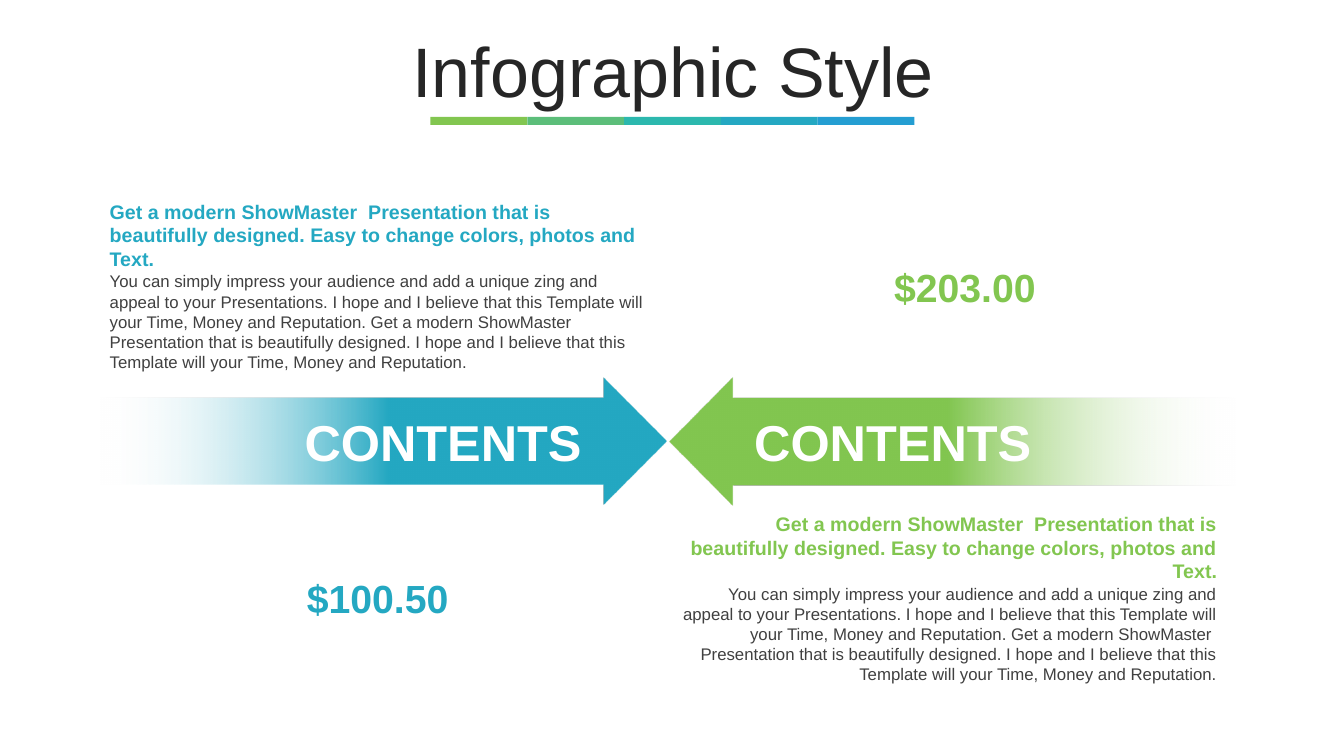
from pptx import Presentation
from pptx import util as u
from pptx.dml.color import RGBColor
from pptx.enum import shapes, text
from lxml import etree

FONT = "Arial"
COLORS = {
    "green": "82C650", "mint": "5CBE7A", "aqua": "2CB8AE", "teal": "24A8C2",
    "blue": "249ED2", "white": "FFFFFF", "title": "262626", "body": "404040",
}
LEFT, CENTER, RIGHT = text.PP_ALIGN.LEFT, text.PP_ALIGN.CENTER, text.PP_ALIGN.RIGHT
TOP, MIDDLE, BOTTOM = text.MSO_ANCHOR.TOP, text.MSO_ANCHOR.MIDDLE, text.MSO_ANCHOR.BOTTOM

HEADING = ("Get a modern ShowMaster  Presentation that is beautifully designed. "
           "Easy to change colors, photos and Text.")
BODY = ("You can simply impress your audience and add a unique zing and appeal to your "
        "Presentations. I hope and I believe that this Template will your Time, Money and "
        "Reputation. Get a modern ShowMaster  Presentation that is beautifully designed. "
        "I hope and I believe that this Template will your Time, Money and Reputation.")


def rgb(name):
    return RGBColor.from_string(COLORS[name])


def place(x, y, w, h):
    return [u.Inches(v) for v in (x, y, w, h)]


def write(sp, words, size, color, align=LEFT, anchor=TOP, bold=False):
    tf = sp.text_frame
    tf.word_wrap = True
    tf.auto_size = text.MSO_AUTO_SIZE.NONE
    tf.vertical_anchor = anchor
    tf.text = words
    p = tf.paragraphs[0]
    p.alignment = align
    f = p.runs[0].font
    f.name, f.size, f.bold = FONT, u.Pt(size), bold
    f.color.rgb = rgb(color)
    return tf


def add_text(s, box, *args, **kwargs):
    return write(s.shapes.add_textbox(*place(*box)), *args, **kwargs)


def add_plain_shape(s, kind, box):
    sp = s.shapes.add_shape(kind, *place(*box))
    sp.shadow.inherit = False
    sp.line.fill.background()
    return sp


# Title with the five-colour bar under it
def add_title(s, x, y, w, h):
    title = s.shapes.title
    title.left, title.top, title.width, title.height = place(x, y, w, h)
    tf = write(title, "Infographic Style", 50, "title", CENTER, MIDDLE)
    tf.paragraphs[0].line_spacing = 0.8
    names = ("green", "mint", "aqua", "teal", "blue")
    step = 0.96
    start = x + (w - step * len(names)) / 2 - 0.01
    for i, name in enumerate(names):
        bar = add_plain_shape(s, shapes.MSO_SHAPE.RECTANGLE,
                              (start + i * step, y + h, step, 0.08))
        bar.fill.solid()
        bar.fill.fore_color.rgb = rgb(name)


# Arrow fading out at its tail, labelled near its tip
def add_arrow(s, x, y, w, h, color, points_right):
    sp = add_plain_shape(s, shapes.MSO_SHAPE.RIGHT_ARROW, (x, y, w, h))
    sp.rotation = 0 if points_right else 180
    sp.adjustments[0], sp.adjustments[1] = 0.682, 0.5
    sp.fill.gradient()
    sp.fill.gradient_angle = 180
    for stop, position, name in zip(sp.fill.gradient_stops, (0.46, 0.94), (color, "white")):
        stop.position = position
        stop.color.rgb = rgb(name)
    faded = sp._element.xpath("./p:spPr/a:gradFill//a:srgbClr")[-1]
    ns = etree.QName(faded).namespace
    etree.SubElement(faded, f"{{{ns}}}alpha", val="0")

    label_w, tip_gap = 3.39, 0.84
    label_x = x + w - tip_gap - label_w if points_right else x + tip_gap
    tf = add_text(s, (label_x, y + 0.32, label_w, 0.61), "CONTENTS", 36, "white",
                  RIGHT if points_right else LEFT, BOTTOM, True)
    tf.margin_left = tf.margin_right = tf.margin_top = tf.margin_bottom = 0


# Coloured heading above a paragraph
def add_description(s, x, y, w, color, align):
    add_text(s, (x, y + 0.71, w, 1.11), BODY, 12, "body", align)
    add_text(s, (x, y, w, 0.57), HEADING, 14, color, align, bold=True)


def add_price(s, x, y, price, color, align):
    add_text(s, (x, y, 1.91, 0.57), price, 28, color, align, MIDDLE, True)


def main():
    prs = Presentation()
    prs.slide_width, prs.slide_height = u.Inches(13.33), u.Inches(7.5)
    s = prs.slides.add_slide(prs.slide_layouts[5])
    add_title(s, 0.35, 0.37, 12.66, 0.79)
    # Teal side
    add_arrow(s, 0.63, 3.75, 5.98, 1.26, "teal", True)
    add_price(s, 2.79, 5.65, "$100.50", "teal", CENTER)
    add_description(s, 0.99, 1.93, 5.5, "teal", LEFT)
    # Green side
    add_arrow(s, 6.64, 3.75, 5.98, 1.26, "green", False)
    add_price(s, 8.46, 2.56, "$203.00", "green", RIGHT)
    add_description(s, 6.67, 5.03, 5.5, "green", RIGHT)
    prs.save("out.pptx")


if __name__ == "__main__":
    main()
